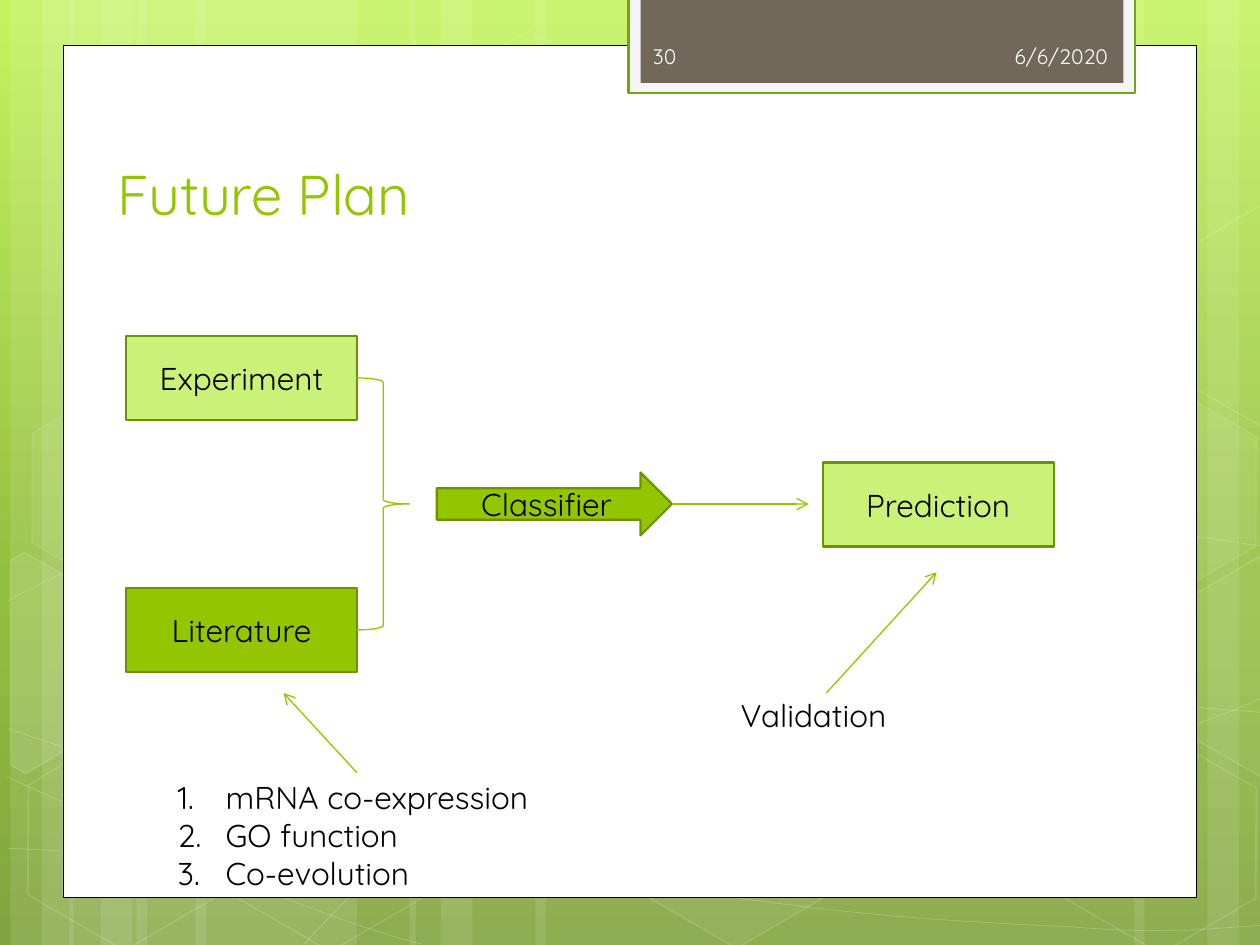
from math import cos, radians, sin
from typing import NamedTuple, Optional

from lxml import etree
from pptx import Presentation
from pptx import util as u
from pptx.dml.color import RGBColor
from pptx.enum import shapes, text
from pptx.oxml import ns

COLS, ROWS = 120, 90
CELL = u.Inches(10) / COLS
FONT = "Quicksand"
TILT = 30

WHITE = RGBColor(0xFF, 0xFF, 0xFF)
BLACK = RGBColor(0, 0, 0)
PALE = RGBColor(0xCA, 0xF2, 0x78)
GREEN = RGBColor(0x94, 0xC6, 0x00)
EDGE = RGBColor(0x6D, 0x92, 0x00)
RIM = RGBColor(0x74, 0xA5, 0x10)
SMOKE = RGBColor(0xF5, 0xF5, 0xF5)
BROWN = RGBColor(0x71, 0x68, 0x5A)
CREAM = RGBColor(0xFE, 0xFE, 0xFE)
SKY = ((0, RGBColor(0xC3, 0xF3, 0x5F)), (62, RGBColor(0x93, 0xBF, 0x3F)),
       (100, RGBColor(0x81, 0xA5, 0x3E)))

KIND = shapes.MSO_SHAPE
LEFT, MID, RIGHT = text.PP_ALIGN.LEFT, text.PP_ALIGN.CENTER, text.PP_ALIGN.RIGHT
TOP, HALF, BASE = text.MSO_ANCHOR.TOP, text.MSO_ANCHOR.MIDDLE, text.MSO_ANCHOR.BOTTOM


class Area(NamedTuple):
    col: float
    row: float
    wide: float
    high: float


class Paint(NamedTuple):
    fill: Optional[RGBColor] = None
    line: Optional[RGBColor] = None
    width: float = 1.25
    alphas: tuple = ()


class Box(NamedTuple):
    area: Area
    paint: Paint
    label: str = ""
    kind: int = KIND.RECTANGLE


class Note(NamedTuple):
    area: Area
    lines: tuple
    size: int = 18
    color: RGBColor = BLACK
    align: int = LEFT
    anchor: int = TOP
    count: bool = False


class Hex(NamedTuple):
    col: float
    row: float
    fill: int
    line: int


class Cut(NamedTuple):
    hub: tuple
    points: tuple
    fill: int


class Arrow(NamedTuple):
    start: tuple
    end: tuple


BARS = ((13, 21), (1, 6), (4, 10), (18.6, 21), (6.6, 6), (9.6, 10),
        (88, 21), (115, 6), (108, 10), (51, 37), (39, 6), (42, 10))

CURVES = (
    ((0.8, 80.8), (7.3, 81.1), (13.8, 81.5), (22.8, 81.4), (31.8, 81.2), (43, 81),
     (55, 79.8), (67, 78.6), (84, 76.3), (95, 74), (106, 71.8), (117.2, 68.2), (120.8, 66.1)),
    ((0.8, 57.2), (4.3, 55.3), (7.8, 53.5), (14.5, 51.7), (21.4, 49.9), (31.1, 47.3),
     (41.6, 46.4), (52.3, 45.6), (65.3, 45.5), (78.5, 46.4), (91.7, 47.4), (113.6, 51.1),
     (120.8, 52.1)),
    ((0.7, 74), (15.2, 80.6), (29.6, 87.2), (40.1, 89.9)),
    ((0.8, 69.4), (4.6, 70.7), (8.4, 72), (15.4, 73.9), (22.3, 75.7), (32.8, 78.7),
     (42.8, 80.8), (52.8, 82.8), (65.4, 85), (75.4, 86.2), (85.3, 87.5), (96, 88),
     (102.4, 88.3), (108.6, 88.8), (110.3, 88.6), (113.4, 88.6), (116.5, 88.4),
     (118.7, 88.2), (120.8, 88.1)),
    ((29, 89.9), (31.2, 87.5), (33.4, 85.1), (36.2, 82.9), (39.1, 80.8), (43.2, 78.4),
     (46.6, 76.7), (49.9, 75), (52, 74.3), (56.4, 73.1), (60.7, 71.9), (68.8, 70.2),
     (73, 69.4), (77.3, 68.5), (77.9, 68.5), (81.6, 68.3), (85.3, 67.9), (91.2, 67.6),
     (95.3, 67.4), (99.5, 67.3), (106.3, 67.4), (106.3, 67.4), (109, 67.4), (111.7, 67.4),
     (114.4, 67.4), (116.5, 67.6), (118.6, 67.7), (120.7, 67.9)),
)

HEXES = (Hex(40, 4.3, 4, 8), Hex(59.6, 70.7, 6, 12), Hex(1.3, 70.9, 0, 12),
         Hex(1.7, 37.4, 7, 8), Hex(20.9, 71, 0, 12), Hex(90.4, 54.4, 10, 12),
         Hex(100, 71.2, 0, 12), Hex(100, 37.7, 7, 8))

WEST = ((1, 53.4), (2.3, 52.6), (11.5, 57.8), (11.4, 68.4), (2.4, 73.7), (1, 72.8))
EAST = ((111.1, 58.2), (120.1, 52.9), (121.1, 53.5), (121.1, 73.6), (120.2, 74), (111.1, 68.8))
NORTH = tuple((x, y - 33.4) for x, y in EAST)
CUTS = (Cut((4.3, 64.2), WEST, 10), Cut((118.2, 62.4), EAST, 4), Cut((118.2, 29), NORTH, 0))

PANELS = (Box(Area(6, 4.3, 108, 81.2), Paint(WHITE, BLACK, 0.5)),
          Box(Area(59.85, -0.2, 48.25, 9.1), Paint(SMOKE, RIM)),
          Box(Area(61, -0.2, 46, 8.1), Paint(BROWN)))

STEPS = (Box(Area(12, 32, 22, 8), Paint(PALE, EDGE), "Experiment"),
         Box(Area(12, 56, 22, 8), Paint(GREEN, EDGE), "Literature"),
         Box(Area(78.35, 44.05, 22, 8), Paint(PALE, EDGE), "Prediction"),
         Box(Area(34, 36, 5, 24), Paint(None, GREEN, 0.75), kind=KIND.RIGHT_BRACE),
         Box(Area(41.6, 45, 22.4, 6), Paint(GREEN, EDGE), "Classifier", KIND.RIGHT_ARROW))

NOTES = (Note(Area(10, 17.3, 92.2, 4.9), ("Future Plan",), 32, GREEN, anchor=BASE),
         Note(Area(78.7, 2.95, 28, 4.8), ("6/6/2020",), 12, CREAM, RIGHT, HALF),
         Note(Area(61, 2.95, 17.5, 4.8), ("30",), 12, CREAM, anchor=HALF),
         Note(Area(15.75, 73.55, 50.2, 12.1),
              ("mRNA co-expression", "GO function", "Co-evolution"), count=True),
         Note(Area(69.35, 65.7, 18, 4.8), ("Validation",)))

ARROWS = (Arrow((34, 73.6), (27, 66)), Arrow((78.7, 66), (89.2, 54.5)))


def grid(*cells: float) -> list:
    return [round(cell * CELL) for cell in cells]


def coat(shape, paint: Paint) -> None:
    shape.shadow.inherit = False
    for part, color in ((shape.fill, paint.fill), (shape.line.fill, paint.line)):
        if color is None:
            part.background()
        else:
            part.solid()
            part.fore_color.rgb = color
    if paint.line is not None:
        shape.line.width = u.Pt(paint.width)
    tints = shape.element.spPr.iter(ns.qn("a:srgbClr"))
    for tint, alpha in zip(tints, paint.alphas):
        etree.SubElement(tint, ns.qn("a:alpha"), val=str(alpha * 1000))


def glass(fill: int, line: int, width: float = 1) -> Paint:
    alphas = tuple(alpha for alpha in (fill, line) if alpha)
    return Paint(WHITE if fill else None, WHITE if line else None, width, alphas)


def write(frame, note: Note) -> None:
    form = {"word_wrap": True, "vertical_anchor": note.anchor}
    for key, value in form.items():
        setattr(frame, key, value)
    for i, line in enumerate(note.lines):
        para = frame.add_paragraph() if i else frame.paragraphs[0]
        para.alignment = note.align
        run = para.add_run()
        run.text = line
        for key, value in {"size": u.Pt(note.size), "name": FONT}.items():
            setattr(run.font, key, value)
        run.font.color.rgb = note.color
        if note.count:
            props = para._p.get_or_add_pPr()
            for key, inch in {"marL": 0.38, "indent": -0.38}.items():
                props.set(key, str(u.Inches(inch)))
            etree.SubElement(props, ns.qn("a:buFont"), typeface="+mj-lt")
            etree.SubElement(props, ns.qn("a:buAutoNum"), type="arabicPeriod")


def block(slide, box: Box):
    shape = slide.shapes.add_shape(box.kind, *grid(*box.area))
    coat(shape, box.paint)
    if box.label:
        write(shape.text_frame, Note(box.area, (box.label,), align=MID, anchor=HALF))
    return shape


def trace(slide, points: tuple, paint: Paint, close: bool):
    spots = [grid(*point) for point in points]
    form = slide.shapes.build_freeform(*spots[0])
    form.add_line_segments(spots[1:], close=close)
    shape = form.convert_to_shape()
    coat(shape, paint)
    return shape


def bend(shape) -> None:
    lines = list(shape.element.iter(ns.qn("a:lnTo")))
    for i in range(0, len(lines), 3):
        curve = etree.SubElement(lines[i].getparent(), ns.qn("a:cubicBezTo"))
        for line in lines[i:i + 3]:
            curve.append(line[0])
            line.getparent().remove(line)


def turn(cut: Cut) -> tuple:
    c, s = cos(radians(TILT)), sin(radians(TILT))
    x, y = cut.hub
    return tuple((x + (px - x) * c + (py - y) * s, y - (px - x) * s + (py - y) * c)
                 for px, py in cut.points)


def point(slide, arrow: Arrow):
    link = slide.shapes.add_connector(shapes.MSO_CONNECTOR.STRAIGHT,
                                      *grid(*arrow.start, *arrow.end))
    link.line.color.rgb = GREEN
    link.line.width = u.Pt(0.75)
    etree.SubElement(link.line._get_or_add_ln(), ns.qn("a:tailEnd"), type="arrow")
    etree.SubElement(link.element.spPr, ns.qn("a:effectLst"))
    return link


def scene(slide) -> None:
    fill = slide.background.fill
    fill.gradient()
    fill.gradient_angle = 270
    stops = next(slide.element.iter(ns.qn("a:gsLst")))
    for stop in list(stops):
        stops.remove(stop)
    for share, color in SKY:
        stop = etree.SubElement(stops, ns.qn("a:gs"), pos=str(share * 1000))
        etree.SubElement(stop, ns.qn("a:srgbClr"), val=str(color))
    for col, wide in BARS:
        block(slide, Box(Area(col, 0, wide, ROWS), glass(10, 0)))
    for knots in CURVES:
        bend(trace(slide, knots, glass(0, 20, 0.5), False))
    for cell in HEXES:
        shape = block(slide, Box(Area(cell.col, cell.row, 21, 18.2),
                                 glass(cell.fill, cell.line), kind=KIND.HEXAGON))
        shape.adjustments[0] = 0.285
        shape.rotation = TILT
    for cut in CUTS:
        trace(slide, turn(cut), glass(cut.fill, 12), True).rotation = TILT


def main() -> None:
    deck = Presentation()
    deck.slide_width, deck.slide_height = grid(COLS, ROWS)
    slide = deck.slides.add_slide(deck.slide_layouts[6])
    scene(slide)
    for panel in PANELS:
        block(slide, panel)
    for note in NOTES:
        write(slide.shapes.add_textbox(*grid(*note.area)).text_frame, note)
    sorter = [block(slide, step) for step in STEPS][-1]
    for arrow in ARROWS:
        point(slide, arrow)
    point(slide, Arrow((64, 48), (77, 48))).begin_connect(sorter, 3)
    deck.save("out.pptx")


if __name__ == "__main__":
    main()
